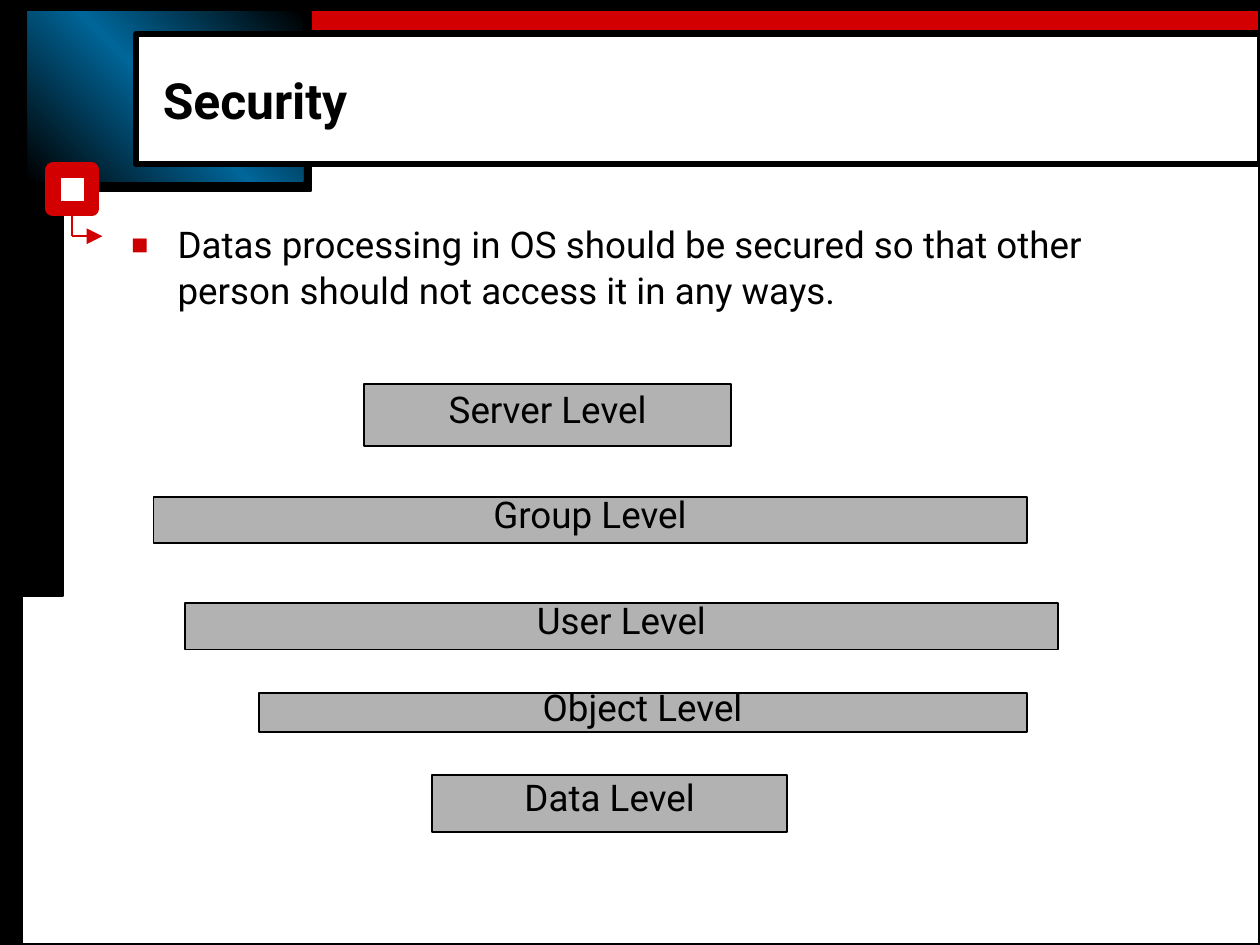
from copy import deepcopy

from lxml.etree import SubElement
from pptx import Presentation
from pptx.dml.color import RGBColor
from pptx.enum.shapes import MSO_CONNECTOR as Connector, MSO_SHAPE as Shape
from pptx.enum.text import MSO_ANCHOR as Anchor, PP_ALIGN as Align
from pptx.oxml.ns import qn
from pptx.util import Inches, Pt

BLACK = RGBColor(0x00, 0x00, 0x00)
WHITE = RGBColor(0xFF, 0xFF, 0xFF)
RED = RGBColor(0xD2, 0x00, 0x00)
BULLET_RED = RGBColor(0xCC, 0x00, 0x00)
BLUE = RGBColor(0x00, 0x66, 0x99)
GRAY = RGBColor(0xB2, 0xB2, 0xB2)

# The slide is a grid of 640 columns by 480 rows with square cells
COLUMNS, ROWS = 640, 480
WIDTH, HEIGHT = Inches(6.67), Inches(5)


def place(area, left, top, *size):
    """Turn grid cells inside an area into slide lengths."""
    cells = (area[0] + left, area[1] + top, *size)
    scales = (WIDTH / COLUMNS, HEIGHT / ROWS) * 2
    return [round(cell * scale) for cell, scale in zip(cells, scales)]


def add_rect(page, spot, fill=None, line=None, weight=0.75):
    rect = page.shapes.add_shape(Shape.RECTANGLE, *spot)
    rect.shadow.inherit = False
    if fill is None:
        rect.fill.background()
    else:
        rect.fill.solid()
        rect.fill.fore_color.rgb = fill
    if line is None:
        rect.line.fill.background()
    else:
        rect.line.color.rgb = line
        rect.line.width = Pt(weight)
    return rect


def add_line(page, start, end, arrow=False):
    line = page.shapes.add_connector(Connector.STRAIGHT, *start, *end)
    line.line.color.rgb = RED
    line.line.width = Pt(0.75)
    if arrow:
        SubElement(line.line._get_or_add_ln(), qn("a:tailEnd"), type="triangle")
    SubElement(line._element.spPr, qn("a:effectLst"))


def write(box, text, size, bold=False, wrap=True, anchor=Anchor.MIDDLE, **layout):
    frame = box.text_frame
    settings = {
        "margin_left": Inches(0.07), "margin_right": Inches(0.07),
        "margin_top": Inches(0.03), "margin_bottom": Inches(0.03),
        "word_wrap": wrap, "vertical_anchor": anchor,
    }
    for name, value in settings.items():
        setattr(frame, name, value)
    para = frame.paragraphs[0]
    for name, value in layout.items():
        setattr(para, name, value)
    span = para.add_run()
    span.text = text
    for name, value in {"name": "Roboto", "size": Pt(size), "bold": bold}.items():
        setattr(span.font, name, value)
    span.font.color.rgb = BLACK
    return para


def add_bullet(para):
    props = para._p.get_or_add_pPr()
    props.set("marL", str(Inches(0.25)))
    props.set("indent", str(-Inches(0.25)))
    color = SubElement(props, qn("a:buClr"))
    SubElement(color, qn("a:srgbClr"), val=str(BULLET_RED))
    SubElement(props, qn("a:buSzPct"), val="130000")
    SubElement(props, qn("a:buFont"), typeface="Roboto")
    SubElement(props, qn("a:buChar"), char="▪")


def blend_blue(rect):
    """Fade from black through blue and back to black on the diagonal."""
    rect.fill.gradient()
    rect.fill.gradient_angle = 45
    first = rect.fill.gradient_stops[0]._gs
    first.addnext(deepcopy(first))
    for stop, color, position in zip(rect.fill.gradient_stops,
                                     (BLACK, BLUE, BLACK), (0, 0.5, 1)):
        stop.color.rgb = color
        stop.position = position


def draw_frame(page, area):
    # Red strip and black border blocks
    for spot, color in (
        ((158, 0, 482, 16), RED),
        ((0, 0, 640, 5), BLACK),
        ((0, 0, 158, 97), BLACK),
        ((0, 46, 32, 257), BLACK),
        ((0, 223, 11.5, 257), BLACK),
    ):
        add_rect(page, place(area, *spot), color, BLACK)
    # Blue corner, title panel and square marker
    blend_blue(add_rect(page, place(area, 14, 6, 140, 86)))
    add_rect(page, place(area, 69, 17.5, 571, 66), WHITE, BLACK, 2.25)
    add_rect(page, place(area, 27, 86.5, 19.5, 19.5), WHITE, RED, 6)
    # Elbow arrow towards the text
    corner = place(area, 36.5, 120)
    add_line(page, place(area, 36.5, 106.5), corner)
    add_line(page, corner, place(area, 52, 120), arrow=True)
    # Slide outline
    add_rect(page, place(area, 0, 0, COLUMNS, ROWS), line=BLACK, weight=1.25)


def draw_title(page, area, text):
    box = page.shapes.add_textbox(*place(area, 0, 0, *area[2:]))
    write(box, text, 19, bold=True, line_spacing=0.9)


def draw_body(page, area, text):
    box = page.shapes.add_textbox(*place(area, 0, 0, *area[2:]))
    para = write(box, text, 14, anchor=Anchor.TOP,
                 line_spacing=1.05, space_after=Pt(2.6))
    add_bullet(para)


def draw_levels(page, area, levels):
    for text, *spot in levels:
        bar = add_rect(page, place(area, *spot), GRAY, BLACK)
        write(bar, text, 14, wrap=False, alignment=Align.CENTER,
              line_spacing=Pt(12), space_after=Pt(2.6))


def main():
    deck = Presentation()
    deck.slide_width, deck.slide_height = WIDTH, HEIGHT
    page = deck.slides.add_slide(deck.slide_layouts[6])
    page.background.fill.solid()
    page.background.fill.fore_color.rgb = WHITE

    draw_frame(page, (0, 0, COLUMNS, ROWS))
    draw_title(page, (76, 28, 554, 49), "Security")
    draw_body(page, (59.5, 108.5, 546, 282),
              "Datas processing in OS should be secured so that other "
              "person should not access it in any ways.")
    # Each level: name, then left, top, width and height within the area
    draw_levels(page, (78, 195, 460, 228), (
        ("Server Level", 107, 0, 186.5, 31.5),
        ("Group Level", 0, 57.5, 443.5, 23.5),
        ("User Level", 16, 111.5, 443.5, 23.5),
        ("Object Level", 53.5, 157, 390, 20),
        ("Data Level", 141.5, 198.5, 180.5, 29),
    ))
    deck.save("out.pptx")


if __name__ == "__main__":
    main()
